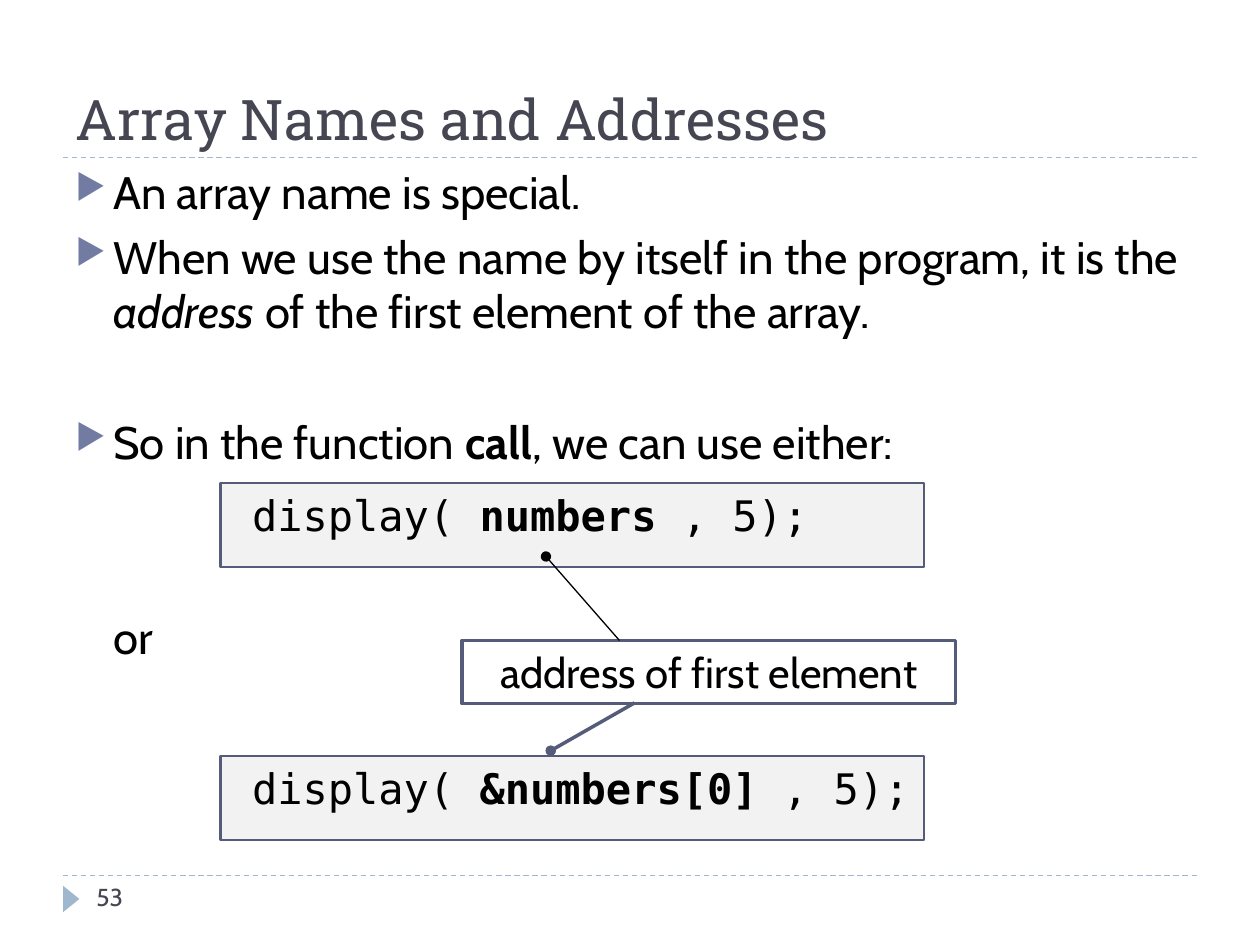
from dataclasses import dataclass

import lxml.etree
import pptx
import pptx.dml.color
import pptx.enum.dml
import pptx.enum.shapes
import pptx.enum.text
import pptx.oxml.ns
import pptx.util

Pt = pptx.util.Pt
qn = pptx.oxml.ns.qn
SHAPE = pptx.enum.shapes.MSO_SHAPE
ANCHOR = pptx.enum.text.MSO_ANCHOR
ALIGN = pptx.enum.text.PP_ALIGN
DASH = pptx.enum.dml.MSO_LINE.DASH


@dataclass(frozen=True)
class Theme:
    ink: str = "000000"
    heading: str = "464653"
    bullet: str = "727CA3"
    rule: str = "9FB8CD"
    border: str = "545C79"
    code_fill: str = "F2F2F2"
    paper: str = "FFFFFF"
    title_font: str = "Roboto Slab"
    body_font: str = "Cabin"
    code_font: str = "DejaVu Sans Mono"
    title_size: float = 32
    body_size: float = 26
    label_size: float = 24
    number_size: float = 14
    para_gap: float = 6
    line_height: float = 31.2
    indent: float = 21.6


def rgb(value):
    return pptx.dml.color.RGBColor.from_string(value)


def child(parent, tag, **attrs):
    return lxml.etree.SubElement(parent, qn(tag), attrs)


def add_text(p, text, *, font, size, color, bold=False, italic=False):
    r = p.add_run()
    r.text = text
    r.font.name, r.font.size = font, Pt(size)
    r.font.bold, r.font.italic = bold, italic
    r.font.color.rgb = rgb(color)


class SlideBuilder:
    def __init__(self, s, theme):
        self.s, self.theme = s, theme

    def text_box(self, x, y, w, h, anchor=ANCHOR.TOP):
        tf = self.s.shapes.add_textbox(Pt(x), Pt(y), Pt(w), Pt(h)).text_frame
        tf.word_wrap = True
        tf.vertical_anchor = anchor
        return tf

    def shape(self, kind, x, y, w, h, fill, line=None, width=0):
        sp = self.s.shapes.add_shape(kind, Pt(x), Pt(y), Pt(w), Pt(h))
        sp.shadow.inherit = False
        sp.fill.solid()
        sp.fill.fore_color.rgb = rgb(fill)
        if line:
            sp.line.color.rgb = rgb(line)
            sp.line.width = Pt(width)
        else:
            sp.line.fill.background()
        tf = sp.text_frame
        tf.word_wrap = True
        tf.vertical_anchor = ANCHOR.TOP
        return sp

    def line(self, x1, y1, x2, y2, color, dash=None):
        c = self.s.shapes.add_connector(
            pptx.enum.shapes.MSO_CONNECTOR.STRAIGHT, Pt(x1), Pt(y1), Pt(x2), Pt(y2))
        c.line.color.rgb = rgb(color)
        c.line.width = Pt(0.75)
        if dash:
            c.line.dash_style = dash
        child(c._element.spPr, "a:effectLst")
        return c

    def oval_end(self, sp):
        child(sp._element.spPr.find(qn("a:ln")), "a:tailEnd", type="oval")

    def paragraph(self, p, parts, before=0, bullet=True):
        t = self.theme
        pPr = p._p.get_or_add_pPr()
        indent = Pt(t.indent)
        pPr.set("marL", str(indent))
        pPr.set("indent", str(-indent if bullet else 0))
        if bullet:
            child(child(pPr, "a:buClr"), "a:srgbClr", val=t.bullet)
            child(pPr, "a:buSzPct", val="76000")
            child(pPr, "a:buChar", char="▶")
        p.space_before = Pt(before)
        for text, style in parts:
            add_text(p, text, font=t.body_font, size=t.body_size, color=t.ink, **style)

    def code_box(self, y, argument):
        t = self.theme
        sp = self.shape(SHAPE.RECTANGLE, 126, y, 402, 48, t.code_fill, t.border, 1.5)
        tf = sp.text_frame
        tf.margin_left = tf.margin_right = tf.margin_top = tf.margin_bottom = Pt(3.6)
        p = tf.paragraphs[0]
        p.alignment = ALIGN.LEFT
        for text, bold in ((" display( ", False), (argument, True), (" , 5);", False)):
            add_text(p, text, font=t.code_font, size=t.label_size, color=t.ink, bold=bold)

    def callout(self, x, y, w, h, text, adjustments):
        t = self.theme
        sp = self.shape(SHAPE.LINE_CALLOUT_1, x, y, w, h, t.paper, t.border, 2)
        for i, value in enumerate(adjustments):
            sp.adjustments[i] = value
        self.oval_end(sp)
        p = sp.text_frame.paragraphs[0]
        p.alignment = ALIGN.CENTER
        add_text(p, text, font=t.body_font, size=t.label_size, color=t.ink)


def main():
    prs = pptx.Presentation()
    prs.slide_width, prs.slide_height = Pt(720), Pt(540)
    t = Theme()
    b = SlideBuilder(prs.slides.add_slide(prs.slide_layouts[6]), t)

    # Dashed rules and page marker
    for y in (500.4, 90):
        b.line(36, y, 684, y, t.rule, DASH.DASH)
    b.shape(SHAPE.ISOSCELES_TRIANGLE, 33.12, 509.04, 15.12, 9.36, t.rule).rotation = 90

    # Body: a skip is the height of one empty line
    skip = t.line_height + t.para_gap
    tf = b.text_box(36, 90, 660, 414)
    rows = [
        ([("An array name is special.", {})], 0, True),
        ([("When we use the name by itself in the program, it is the ", {}),
          ("address", {"italic": True}),
          (" of the first element of the array.", {})], t.para_gap, True),
        ([("So in the function ", {}), ("call", {"bold": True}),
          (", we can use either:", {})], t.para_gap + skip, True),
        ([("or", {})], t.para_gap + 2 * skip, False),
    ]
    for i, (parts, before, bullet) in enumerate(rows):
        p = tf.add_paragraph() if i else tf.paragraphs[0]
        b.paragraph(p, parts, before, bullet)

    # Title
    tf = b.text_box(36, 12, 648, 78, ANCHOR.BOTTOM)
    add_text(tf.paragraphs[0], "Array Names and Addresses",
             font=t.title_font, size=t.title_size, color=t.heading)

    # The two equivalent calls
    b.code_box(432, "&numbers[0]")
    b.code_box(276, "numbers")

    # Callout pointing to both arguments
    b.callout(264, 366, 282, 36, "address of first element", (0.99, 0.35, 1.75, 0.18))
    b.oval_end(b.line(354, 366, 312, 318, t.ink))

    # Page number
    tf = b.text_box(48, 500.4, 156, 28.8)
    add_text(tf.paragraphs[0], "53", font=t.body_font, size=t.number_size, color=t.heading)

    prs.save("out.pptx")


if __name__ == "__main__":
    main()
